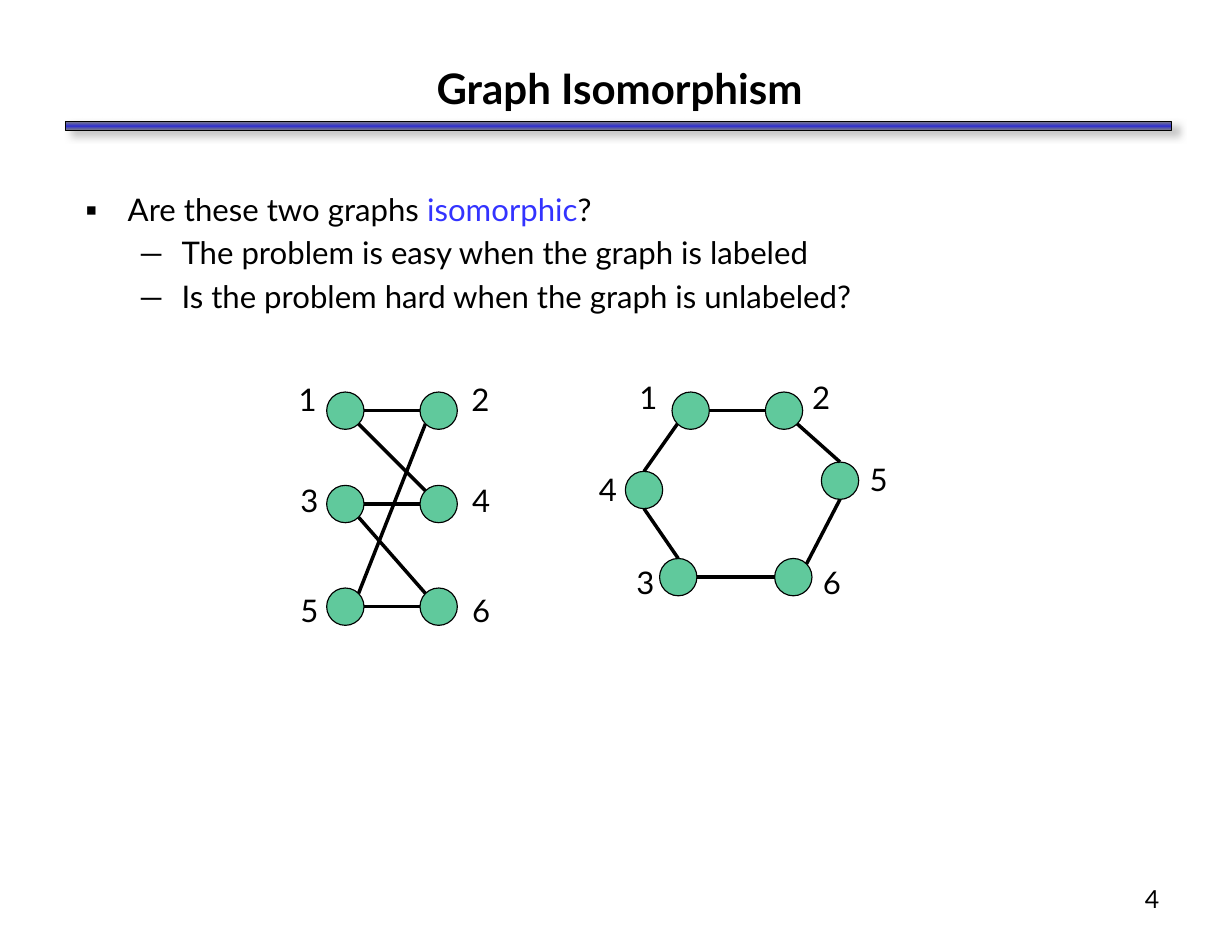
from copy import deepcopy
from dataclasses import dataclass
from math import sqrt

from lxml.etree import SubElement
from pptx import Presentation
from pptx.dml.color import RGBColor
from pptx.enum.shapes import MSO_CONNECTOR, MSO_SHAPE
from pptx.enum.text import MSO_ANCHOR, MSO_AUTO_SIZE, PP_ALIGN
from pptx.oxml.ns import qn
from pptx.util import Pt


@dataclass(frozen=True)
class Theme:
    font: str = "Lato"
    ink: str = "000000"
    accent: str = "3333FF"
    node: str = "60C99C"
    rule: tuple = ("808080", "3333CC", "808080")
    shadow: str = "B2B2B2"
    title_size: int = 27
    text_size: int = 20
    number_size: int = 16


theme = Theme()


def add_run(paragraph, text, size, color=theme.ink, bold=False):
    run = paragraph.add_run()
    run.text = text
    run.font.name = theme.font
    run.font.size = Pt(size)
    run.font.bold = bold
    run.font.color.rgb = RGBColor.from_string(color)


def place(shape, left, top, width, height):
    shape.left, shape.top = Pt(left), Pt(top)
    shape.width, shape.height = Pt(width), Pt(height)


prs = Presentation()
prs.slide_width, prs.slide_height = Pt(792), Pt(612)
slide = prs.slides.add_slide(prs.slide_layouts[1])
shapes = slide.shapes
ink = RGBColor.from_string(theme.ink)

# Title and the rule below it
title = shapes.title
place(title, 42, 36, 712.5, 41)
title.text_frame.vertical_anchor = MSO_ANCHOR.MIDDLE
title.text_frame.auto_size = MSO_AUTO_SIZE.NONE
heading = title.text_frame.paragraphs[0]
heading.alignment = PP_ALIGN.CENTER
add_run(heading, "Graph Isomorphism", theme.title_size, bold=True)

rule = shapes.add_shape(MSO_SHAPE.RECTANGLE, Pt(42), Pt(78), Pt(711), Pt(6))
rule.line.color.rgb = ink
rule.line.width = Pt(1)
rule.fill.gradient()
rule.fill.gradient_angle = 90
first_stop = rule._element.spPr.find(".//" + qn("a:gs"))
first_stop.addnext(deepcopy(first_stop))
for stop, position, color in zip(rule.fill.gradient_stops, (0, 0.5, 1), theme.rule):
    stop.position = position
    stop.color.rgb = RGBColor.from_string(color)
rule.shadow.inherit = False
shadow = SubElement(
    rule._element.spPr.find(qn("a:effectLst")), qn("a:outerShdw"),
    blurRad=str(Pt(5)), dist=str(Pt(5)), dir=str(37 * 60000), algn="ctr", rotWithShape="0")
shadow_color = SubElement(shadow, qn("a:srgbClr"), val=theme.shadow)
SubElement(shadow_color, qn("a:alpha"), val="75000")

# Questions: level, bullet, left margin, runs
questions = [
    (0, "▪", 32.4, [("Are these two graphs ", theme.ink), ("isomorphic", theme.accent),
                    ("?", theme.ink)]),
    (1, "—", 67, [("The problem is easy when the graph is labeled", theme.ink)]),
    (1, "—", 67, [("Is the problem hard when the graph is unlabeled?", theme.ink)]),
]
body = slide.placeholders[1]
place(body, 42, 118, 711, 440)
frame = body.text_frame
frame.auto_size = MSO_AUTO_SIZE.NONE
frame.margin_left = frame.margin_right = Pt(7.7)
frame.margin_top = frame.margin_bottom = Pt(4.3)
for index, (level, bullet, margin, runs) in enumerate(questions):
    paragraph = frame.add_paragraph() if index else frame.paragraphs[0]
    paragraph.level = level
    paragraph.space_before = Pt(4 if index else 0)
    properties = paragraph._p.get_or_add_pPr()
    properties.set("marL", str(Pt(margin)))
    properties.set("indent", str(Pt(-27.4)))
    SubElement(properties, qn("a:buFont"), typeface=theme.font)
    SubElement(properties, qn("a:buChar"), char=bullet)
    for text, color in runs:
        add_run(paragraph, text, theme.text_size, color)

# Graphs: nodes as number -> (centre x, centre y, label left, label top),
# edges as (node, side, node, side)
left_graph = (
    {1: (222, 264, 185, 241), 2: (282, 264, 296, 241),
     3: (222, 324, 186, 306), 4: (282, 324, 296.5, 306),
     5: (222, 390, 186, 376.5), 6: (282, 390, 296.5, 376.5)},
    [(1, "E", 2, "W"), (1, "SE", 4, "NW"), (3, "E", 4, "W"),
     (3, "SE", 6, "NW"), (5, "E", 6, "W"), (5, "NE", 2, "SW")],
)
right_graph = (
    {1: (444, 264, 404, 240), 2: (504, 264, 515, 240),
     3: (436, 371, 402, 358.5), 4: (414, 315, 378, 299),
     5: (540, 309, 552, 292.5), 6: (510, 371, 522, 358.5)},
    [(1, "E", 2, "W"), (1, "SW", 4, "N"), (3, "N", 4, "S"),
     (3, "E", 6, "W"), (5, "S", 6, "NE"), (5, "N", 2, "SE")],
)
radius = 12
diagonal = 1 / sqrt(2)
sides = {
    "N": (0, -1), "E": (1, 0), "S": (0, 1), "W": (-1, 0),
    "NE": (diagonal, -diagonal), "SE": (diagonal, diagonal),
    "SW": (-diagonal, diagonal), "NW": (-diagonal, -diagonal),
}
for nodes, edges in (left_graph, right_graph):
    for number, (x, y, label_left, label_top) in nodes.items():
        node = shapes.add_shape(MSO_SHAPE.OVAL, Pt(x - radius), Pt(y - radius),
                                Pt(2 * radius), Pt(2 * radius))
        node.shadow.inherit = False
        node.fill.solid()
        node.fill.fore_color.rgb = RGBColor.from_string(theme.node)
        node.line.color.rgb = ink
        node.line.width = Pt(0.75)

        label = shapes.add_textbox(Pt(label_left), Pt(label_top), Pt(25), Pt(31.5))
        label.text_frame.word_wrap = False
        label.text_frame.auto_size = MSO_AUTO_SIZE.SHAPE_TO_FIT_TEXT
        add_run(label.text_frame.paragraphs[0], str(number), theme.text_size)

    for start, start_side, end, end_side in edges:
        ends = []
        for number, side in ((start, start_side), (end, end_side)):
            for centre, step in zip(nodes[number], sides[side]):
                ends.append(Pt(centre + radius * step))
        edge = shapes.add_connector(MSO_CONNECTOR.STRAIGHT, *ends)
        edge.line.color.rgb = ink
        edge.line.width = Pt(2.25)
        SubElement(edge._element.spPr, qn("a:effectLst"))

# Slide number
page_number = shapes.add_textbox(Pt(588), Pt(564), Pt(165), Pt(41))
page_number.text_frame.word_wrap = True
page_number.text_frame.margin_right = Pt(7.7)
page_number.text_frame.margin_top = Pt(4.3)
page_line = page_number.text_frame.paragraphs[0]
page_line.alignment = PP_ALIGN.RIGHT
add_run(page_line, "4", theme.number_size)

prs.save("out.pptx")
